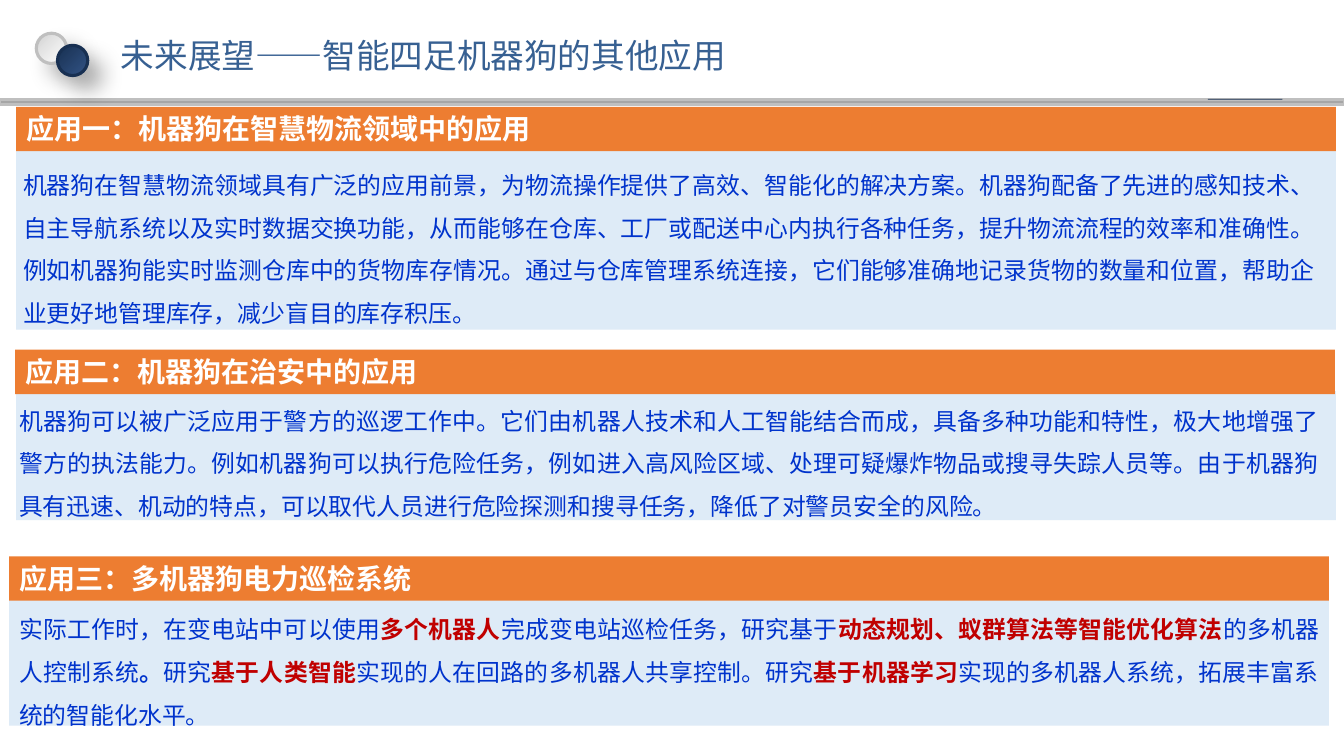
from lxml import etree
from pptx import Presentation
from pptx.dml.color import RGBColor
from pptx.enum import shapes, text
from pptx.oxml import ns
from pptx.util import Inches, Pt

WHITE = RGBColor(0xFF, 0xFF, 0xFF)
ORANGE = RGBColor(0xED, 0x7D, 0x31)
PALE_BLUE = RGBColor(0xDE, 0xEB, 0xF7)
BLUE = RGBColor(0x00, 0x33, 0xCC)
RED = RGBColor(0xC0, 0x00, 0x00)
TITLE_BLUE = RGBColor(0x37, 0x60, 0x92)
GRAY = RGBColor(0xA6, 0xA6, 0xA6)
SILVER = RGBColor(0xBF, 0xBF, 0xBF)
LIGHT_GRAY = RGBColor(0xD3, 0xD3, 0xD3)
STEEL = RGBColor(0x33, 0x54, 0x85)
NAVY = RGBColor(0x18, 0x30, 0x52)

CJK_FONT = "Noto Sans CJK SC"
SECTION_WIDTH = 13.09
BAR_HEIGHT = 0.44

SECTIONS = [
    {
        "heading": "应用一：机器狗在智慧物流领域中的应用",
        "bar": (0.16, 1.06),
        "panel": (0.16, 1.5, SECTION_WIDTH, 1.77),
        "body": (0.13, 1.5, 13.01, 2.63),
        "runs": [("机器狗在智慧物流领域具有广泛的应用前景，为物流操作提供了高效、智能化的解决方案。机器狗配备了先进的感知技术、自主导航系统以及实时数据交换功能，从而能够在仓库、工厂或配送中心内执行各种任务，提升物流流程的效率和准确性。例如机器狗能实时监测仓库中的货物库存情况。通过与仓库管理系统连接，它们能够准确地记录货物的数量和位置，帮助企业更好地管理库存，减少盲目的库存积压。", BLUE, False)],
    },
    {
        "heading": "应用二：机器狗在治安中的应用",
        "bar": (0.15, 3.47),
        "panel": (0.16, 3.88, SECTION_WIDTH, 1.28),
        "body": (0.09, 3.84, SECTION_WIDTH, 1.77),
        "runs": [("机器狗可以被广泛应用于警方的巡逻工作中。它们由机器人技术和人工智能结合而成，具备多种功能和特性，极大地增强了警方的执法能力。例如机器狗可以执行危险任务，例如进入高风险区域、处理可疑爆炸物品或搜寻失踪人员等。由于机器狗具有迅速、机动的特点，可以取代人员进行危险探测和搜寻任务，降低了对警员安全的风险。", BLUE, False)],
    },
    {
        "heading": "应用三：多机器狗电力巡检系统",
        "bar": (0.09, 5.52),
        "panel": (0.09, 5.92, SECTION_WIDTH, 1.28),
        "body": (0.09, 5.91, SECTION_WIDTH, 1.34),
        "runs": [
            ("实际工作时，在变电站中可以使用", BLUE, False),
            ("多个机器人", RED, True),
            ("完成变电站巡检任务，研究基于", BLUE, False),
            ("动态规划、蚁群算法等智能优化算法", RED, True),
            ("的多机器人控制系统", BLUE, False),
            ("。", BLUE, True),
            ("研究", BLUE, False),
            ("基于人类智能", RED, True),
            ("实现的人在回路的多机器人共享控制。研究", BLUE, False),
            ("基于机器学习", RED, True),
            ("实现的多机器人系统，拓展丰富系统的智能化水平。", BLUE, False),
        ],
    },
]


def format_run(r, size, font, color, bold=False):
    r.font.size = Pt(size)
    r.font.name = font
    r.font.bold = bold
    r.font.color.rgb = color
    ea = etree.SubElement(r.font._element, ns.qn("a:ea"))
    ea.set("typeface", CJK_FONT)


def add_rect(s, box, color):
    sp = s.shapes.add_shape(shapes.MSO_SHAPE.RECTANGLE, *map(Inches, box))
    sp.shadow.inherit = False
    sp.fill.solid()
    sp.fill.fore_color.rgb = color
    sp.line.fill.background()
    return sp


def add_circle(s, left, top, start, end, outline):
    size = Inches(0.3)
    sp = s.shapes.add_shape(shapes.MSO_SHAPE.OVAL, Inches(left), Inches(top), size, size)
    sp.rotation = 90
    sp.fill.gradient()
    sp.fill.gradient_angle = 225
    for stop, color in zip(sp.fill.gradient_stops, (start, end)):
        stop.color.rgb = color
    sp.line.color.rgb = outline
    sp.line.width = Pt(2.25)
    sp.shadow.inherit = False
    effects = sp._element.spPr.find(ns.qn("a:effectLst"))
    shadow = etree.SubElement(
        effects, ns.qn("a:outerShdw"), blurRad=str(Pt(16)), dist=str(Pt(14)),
        dir=str(45 * 60000), algn="tl", rotWithShape="0")
    color = etree.SubElement(shadow, ns.qn("a:srgbClr"), val="000000")
    etree.SubElement(color, ns.qn("a:alpha"), val="31000")


def add_title(s, title):
    sp = s.shapes.add_textbox(Inches(1.13), Inches(0.31), Inches(8.75), Inches(0.48))
    tf = sp.text_frame
    tf.word_wrap = True
    tf.margin_left = tf.margin_right = Inches(0.07)
    tf.margin_top = tf.margin_bottom = Inches(0.04)
    tf.text = title
    format_run(tf.paragraphs[0].runs[0], 24, "Cambria", TITLE_BLUE)


def add_heading(s, left, top, heading):
    sp = add_rect(s, (left, top, SECTION_WIDTH, BAR_HEIGHT), ORANGE)
    tf = sp.text_frame
    tf.word_wrap = True
    tf.vertical_anchor = text.MSO_ANCHOR.TOP
    tf.text = heading
    p = tf.paragraphs[0]
    p.alignment = text.PP_ALIGN.LEFT
    format_run(p.runs[0], 20, "Times New Roman", WHITE, True)


def add_body(s, box, runs):
    sp = s.shapes.add_textbox(*map(Inches, box))
    tf = sp.text_frame
    tf.word_wrap = True
    p = tf.paragraphs[0]
    p.alignment = text.PP_ALIGN.JUSTIFY
    p.line_spacing = 1.5
    for words, color, bold in runs:
        r = p.add_run()
        r.text = words
        format_run(r, 17, CJK_FONT, color, bold)


def main():
    prs = Presentation()
    prs.slide_width = Inches(13.33)
    prs.slide_height = Inches(7.5)
    s = prs.slides.add_slide(prs.slide_layouts[6])

    rule = add_rect(s, (0, 0.99, 13.33, 0.05), GRAY)
    rule.line.color.rgb = SILVER
    rule.line.width = Pt(2)
    add_rect(s, (11.98, 0.98, 0.74, 0.01), NAVY)
    add_circle(s, 0.36, 0.33, WHITE, LIGHT_GRAY, SILVER)
    add_circle(s, 0.57, 0.45, STEEL, NAVY, NAVY)
    add_title(s, "未来展望——智能四足机器狗的其他应用")

    for section in SECTIONS:
        add_rect(s, section["panel"], PALE_BLUE)
        add_heading(s, *section["bar"], section["heading"])
        add_body(s, section["body"], section["runs"])

    prs.save("out.pptx")


if __name__ == "__main__":
    main()
